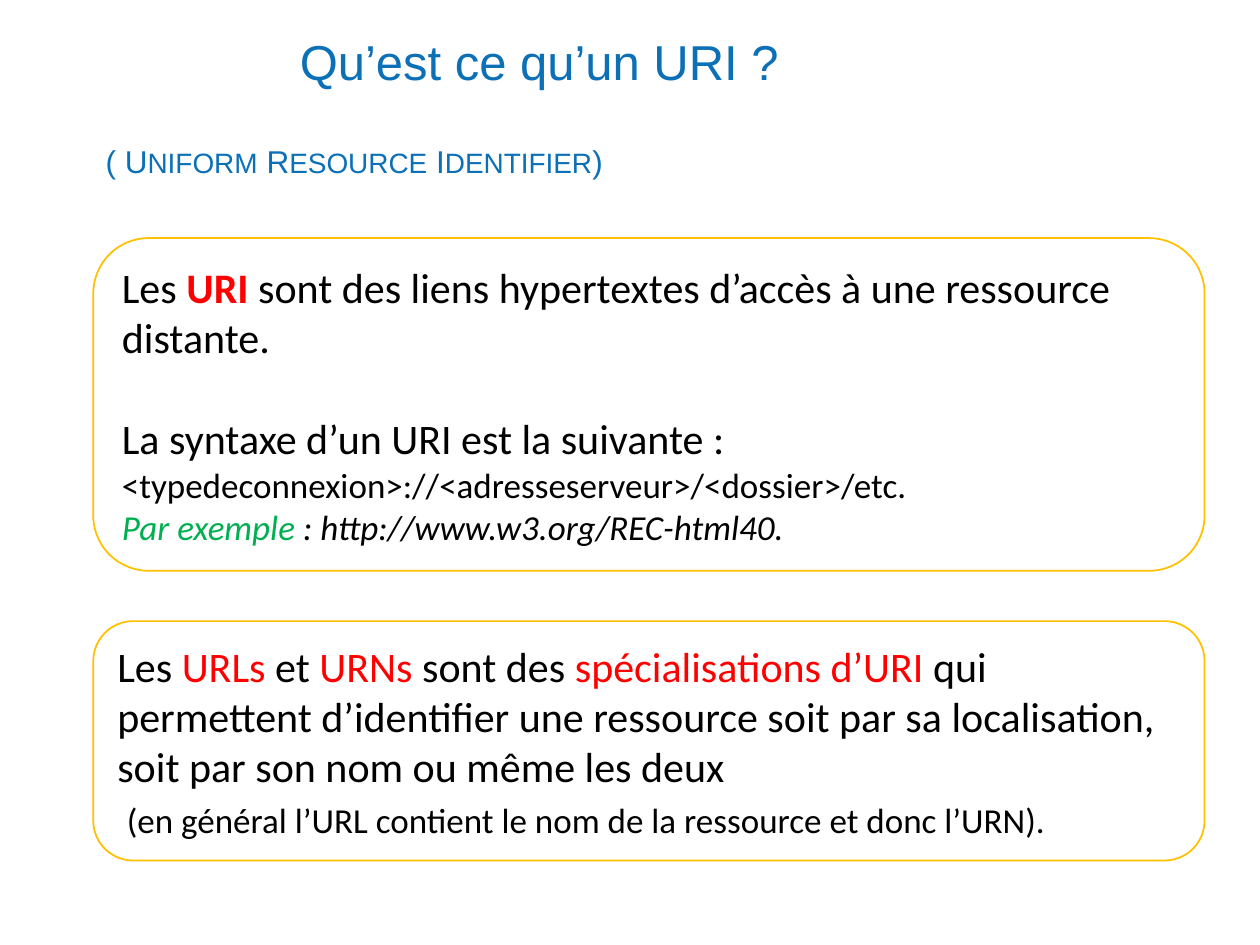
from dataclasses import dataclass
from pptx import Presentation
from pptx import util as u
from pptx.dml import color
from pptx.enum import shapes, text


@dataclass(frozen=True)
class Theme:
    blue: str = "0C70B7"
    gold: str = "FFC000"
    red: str = "FF0000"
    green: str = "00B050"
    black: str = "000000"
    white: str = "FFFFFF"
    head: str = "Arial"
    body: str = "Calibri"
    title: int = 28
    caps: int = 18
    small: int = 16
    main: int = 24
    note: int = 20


T = Theme()
HEAD = dict(name=T.head, size=T.caps, color=T.blue)
MAIN = dict(name=T.body, size=T.main, color=T.black)
NOTE = MAIN | dict(size=T.note)
RED = MAIN | dict(color=T.red)


def rgb(code):
    return color.RGBColor.from_string(code)


def style(font, form):
    for key, value in form.items():
        if key == "color":
            font.color.rgb = rgb(value)
        else:
            setattr(font, key, u.Pt(value) if key == "size" else value)


def place(shape, box):
    for key, value in zip(("left", "top", "width", "height"), box):
        setattr(shape, key, u.Inches(value))


def write(frame, paras, **form):
    frame.word_wrap = True
    for index, runs in enumerate(paras):
        para = frame.add_paragraph() if index else frame.paragraphs[0]
        para.alignment = text.PP_ALIGN.LEFT
        for key, value in form.items():
            setattr(para, key, value)
        for words, look in runs:
            run = para.add_run()
            run.text = words
            style(run.font, look)


def add_title(slide, box):
    title = slide.shapes.title
    place(title, box)
    title.text_frame.vertical_anchor = text.MSO_ANCHOR.MIDDLE
    look = HEAD | dict(size=T.title)
    write(title.text_frame, [[("Qu’est ce qu’un URI ?", look)]], line_spacing=0.9)


def add_sub(slide, box):
    sub = slide.shapes.add_textbox(*map(u.Inches, box))
    low = HEAD | dict(size=T.small)
    runs = [("( U", HEAD), ("NIFORM", low), (" R", HEAD), ("ESOURCE", low),
            (" I", HEAD), ("DENTIFIER", low), (")", HEAD)]
    write(sub.text_frame, [runs], line_spacing=0.9)


def add_card(slide, box, paras):
    card = slide.shapes.add_shape(
        shapes.MSO_SHAPE.ROUNDED_RECTANGLE, *map(u.Inches, box))
    card.shadow.inherit = False
    card.fill.solid()
    card.fill.fore_color.rgb = rgb(T.white)
    card.line.color.rgb = rgb(T.gold)
    card.line.width = u.Pt(1)
    card.text_frame.vertical_anchor = text.MSO_ANCHOR.MIDDLE
    write(card.text_frame, paras)
    return card


def add_uri(slide, box):
    card = add_card(slide, box, [
        [("Les ", MAIN), ("URI", RED | dict(bold=True)),
         (" sont des liens hypertextes d’accès à une ressource distante.", MAIN)],
        [("La syntaxe d’un URI est la suivante : ", MAIN),
         ("<typedeconnexion>://<adresseserveur>/<dossier>/etc.", NOTE)],
        [("Par exemple ", NOTE | dict(color=T.green, italic=True)),
         (": http://www.w3.org/REC-html40.", NOTE | dict(italic=True))],
    ])
    card.text_frame.paragraphs[1].space_before = u.Pt(29)


def add_kinds(slide, box):
    add_card(slide, box, [
        [("Les ", MAIN), ("URLs", RED), (" et ", MAIN), ("URNs", RED),
         (" sont des ", MAIN), ("spécialisations d’URI ", RED),
         ("qui permettent d’identifier une ressource soit par sa localisation, "
          "soit par son nom ou même les deux", MAIN)],
        [(" ", MAIN),
         ("(en général l’URL contient le nom de la ressource et donc l’URN).", NOTE)],
    ])


def main():
    deck = Presentation()
    deck.slide_width, deck.slide_height = u.Inches(10), u.Inches(7.5)
    slide = deck.slides.add_slide(deck.slide_layouts[5])
    left, wide = 0.74, 8.82
    add_title(slide, (2.28, 0.16, 7.72, 0.71))
    add_sub(slide, (left, 1.11, wide, 0.4))
    add_kinds(slide, (left, 4.93, wide, 1.9))
    add_uri(slide, (left, 1.89, wide, 2.64))
    deck.save("out.pptx")


if __name__ == "__main__":
    main()
